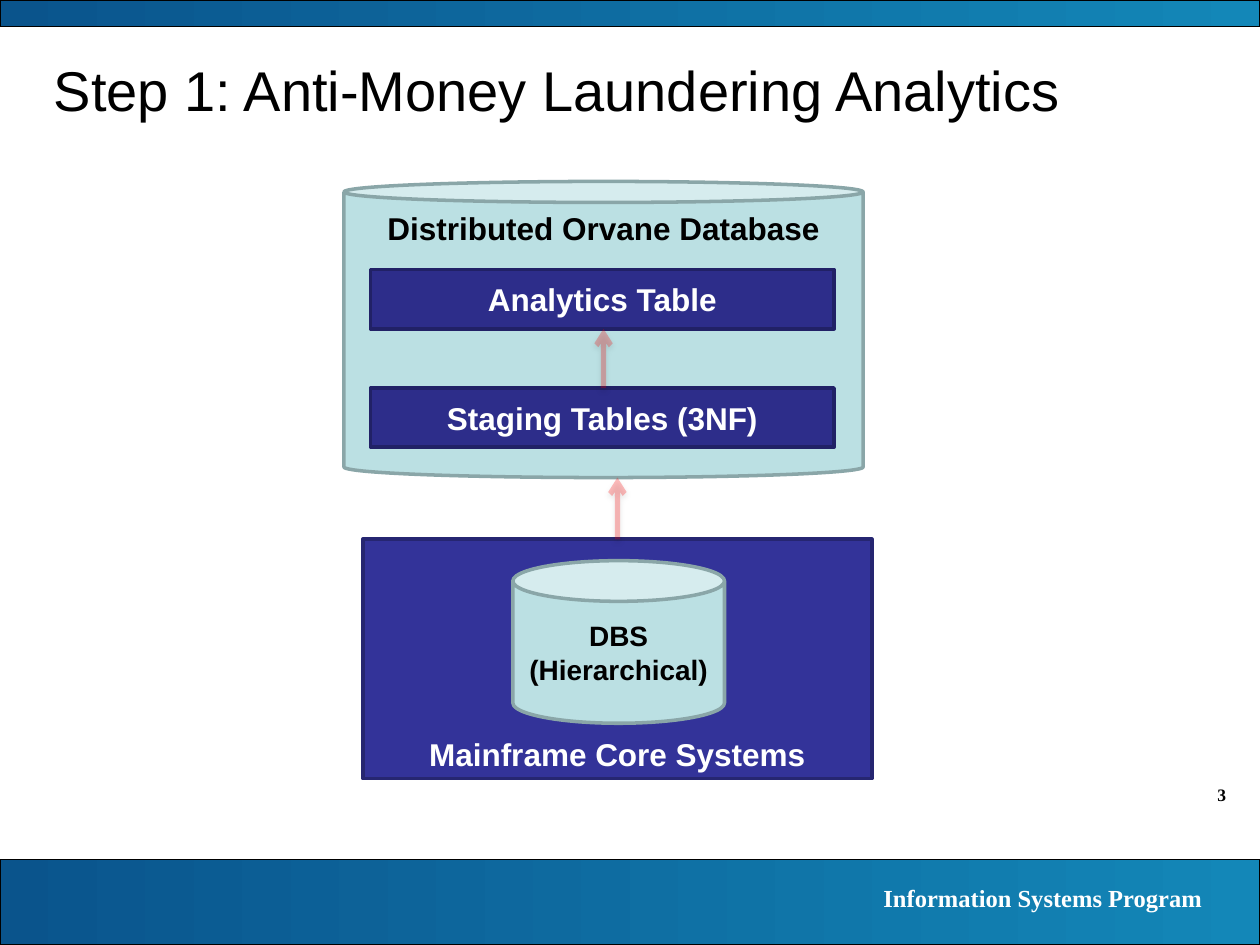
from lxml import etree
from pptx import Presentation
from pptx.dml.color import RGBColor
from pptx.enum.shapes import MSO_CONNECTOR, MSO_SHAPE
from pptx.enum.text import MSO_ANCHOR, PP_ALIGN
from pptx.oxml import parse_xml
from pptx.oxml.ns import nsdecls, qn
from pptx.util import Inches, Pt

RECT, CAN = MSO_SHAPE.RECTANGLE, MSO_SHAPE.CAN
TOP, MIDDLE, BOTTOM = MSO_ANCHOR.TOP, MSO_ANCHOR.MIDDLE, MSO_ANCHOR.BOTTOM
LEFT, CENTER, RIGHT = PP_ALIGN.LEFT, PP_ALIGN.CENTER, PP_ALIGN.RIGHT
SANS, SERIF = "Arial", "Times New Roman"
BLACK, WHITE = "000000", "FFFFFF"
CYLINDER = ("BBE0E3", "8AA6A8")
TABLE = ("2D2D8A", "212166")
MAINFRAME = ("333399", "262671")
SHADOW = (
    f'<a:effectLst {nsdecls("a")}>'
    '<a:outerShdw blurRad="39370" dist="22860" dir="5400000" rotWithShape="0">'
    '<a:srgbClr val="000000"><a:alpha val="35000"/></a:srgbClr>'
    "</a:outerShdw></a:effectLst>"
)


def rgb(code):
    """Turn a hex string into a colour."""
    return RGBColor.from_string(code)


def set_text(s, text, size, color, font=SANS, bold=True, align=CENTER, anchor=MIDDLE):
    """Write text into a shape and format every run."""
    tf = s.text_frame
    tf.word_wrap = True
    tf.vertical_anchor = anchor
    tf.text = text
    for p in tf.paragraphs:
        p.alignment = align
        for r in p.runs:
            r.font.name = font
            r.font.size = Pt(size)
            r.font.bold = bold
            r.font.color.rgb = rgb(color)


def add_label(slide, box, text, size, color, **style):
    """Add a text box."""
    s = slide.shapes.add_textbox(*map(Inches, box))
    set_text(s, text, size, color, **style)


def add_band(slide, top, height):
    """Add a full-width gradient band."""
    s = slide.shapes.add_shape(RECT, 0, Inches(top), Inches(10), Inches(height))
    s.shadow.inherit = False
    s.fill.gradient()
    s.fill.gradient_angle = 0
    for stop, color in zip(s.fill.gradient_stops, ("0A548C", "1387B8")):
        stop.color.rgb = rgb(color)
    s.line.color.rgb = rgb(BLACK)
    s.line.width = Pt(0.75)


def add_block(slide, kind, box, colors, text, size, color, anchor=MIDDLE):
    """Add a filled and outlined shape with a bold label."""
    s = slide.shapes.add_shape(kind, *map(Inches, box))
    s.shadow.inherit = False
    fill, line = colors
    s.fill.solid()
    s.fill.fore_color.rgb = rgb(fill)
    s.line.color.rgb = rgb(line)
    s.line.width = Pt(2)
    set_text(s, text, size, color, anchor=anchor)
    return s


def add_flow(slide, x, start, end):
    """Add a translucent red vertical arrow with a soft shadow."""
    s = slide.shapes.add_connector(
        MSO_CONNECTOR.STRAIGHT, Inches(x), Inches(start), Inches(x), Inches(end)
    )
    s.line.width = Pt(3)
    s.line.color.rgb = rgb("FF0000")
    ln = s.line._ln
    etree.SubElement(ln.find(".//" + qn("a:srgbClr")), qn("a:alpha"), val="25000")
    etree.SubElement(ln, qn("a:tailEnd"), type="arrow")
    s._element.spPr.append(parse_xml(SHADOW))


def main():
    """Build the slide and save it."""
    prs = Presentation()
    prs.slide_width, prs.slide_height = Inches(10), Inches(7.5)
    slide = prs.slides.add_slide(prs.slide_layouts[6])

    add_label(slide, (9, 6.17, 0.83, 0.27), "3", 10, BLACK,
              font=SERIF, align=RIGHT, anchor=TOP)
    add_band(slide, 6.82, 0.68)
    add_band(slide, 0, 0.21)
    add_label(slide, (5.55, 6.96, 4.09, 0.34), "Information Systems Program", 14, WHITE,
              font=SERIF, align=RIGHT, anchor=TOP)
    add_label(slide, (0.33, 0.33, 9.17, 0.75), "Step 1: Anti-Money Laundering Analytics",
              32, BLACK, bold=False, align=LEFT)

    database = add_block(slide, CAN, (2.73, 1.44, 4.12, 2.35), CYLINDER,
                         "Distributed Orvane Database", 18, BLACK, TOP)
    database.adjustments[0] = 0.071
    for top, text in ((3.08, "Staging Tables (3NF)"), (2.14, "Analytics Table")):
        add_block(slide, RECT, (2.94, top, 3.68, 0.47), TABLE, text, 18, WHITE)
    add_flow(slide, 4.79, 3.08, 2.61)

    add_block(slide, RECT, (2.88, 4.28, 4.04, 1.9), MAINFRAME,
              "Mainframe Core Systems", 18, WHITE, BOTTOM)
    add_block(slide, CAN, (4.07, 4.45, 1.68, 1.29), CYLINDER,
              "DBS\n(Hierarchical)", 16, BLACK)
    add_flow(slide, 4.9, 4.28, 3.79)

    prs.save("out.pptx")


if __name__ == "__main__":
    main()
